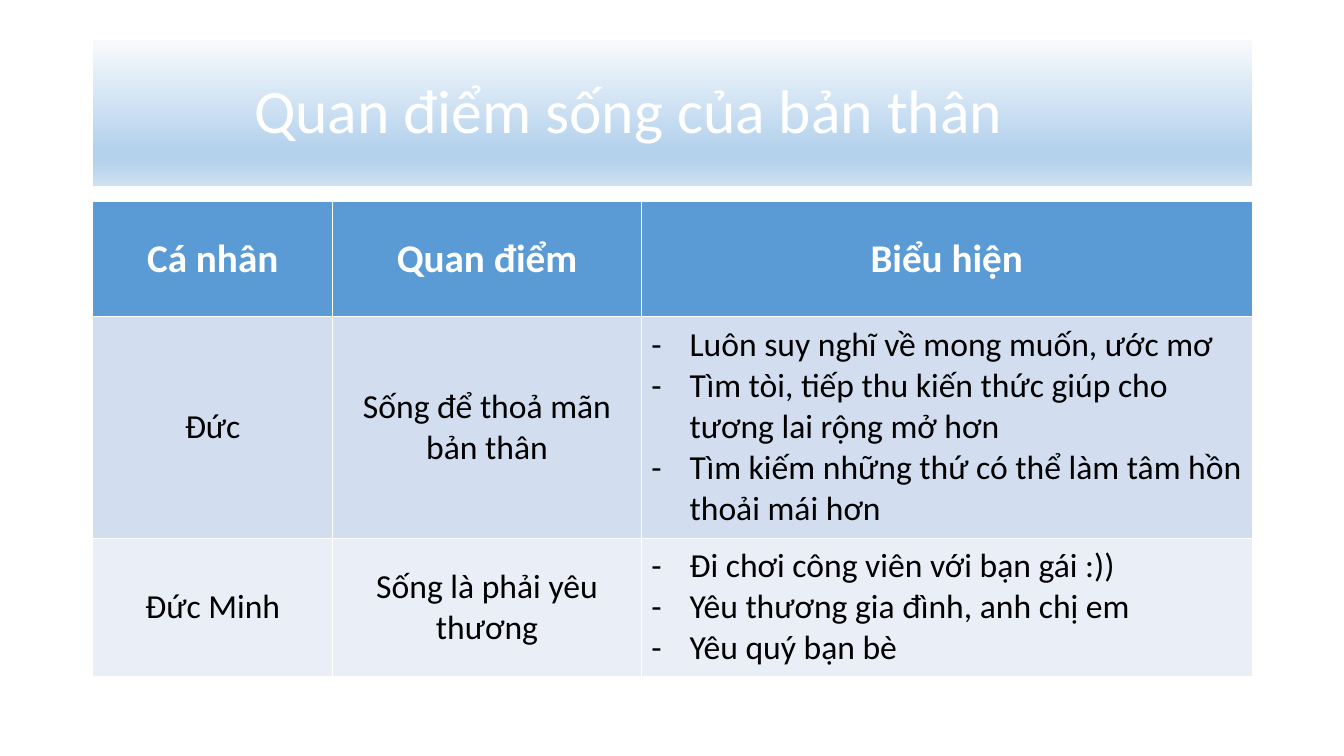
from lxml import etree
from pptx import Presentation
from pptx.dml.color import RGBColor
from pptx.enum.text import MSO_ANCHOR as Anchor, MSO_AUTO_SIZE as AutoSize, PP_ALIGN as Align
from pptx.oxml import parse_xml
from pptx.oxml.ns import nsdecls, qn
from pptx.util import Inches, Pt


def color(value):
    return RGBColor.from_string(value)


def format_para(para, size, shade, bold, align):
    para.alignment = align
    for span in para.runs:
        span.font.name = "Calibri"
        span.font.size = Pt(size)
        span.font.bold = bold
        span.font.color.rgb = color(shade)


deck = Presentation()
deck.slide_width, deck.slide_height = Inches(13.33), Inches(7.5)
page = deck.slides.add_slide(deck.slide_layouts[5])
left, width = Inches(0.92), Inches(11.5)

title = page.shapes.title
title.left, title.top, title.width, title.height = left, Inches(0.4), width, Inches(1.45)
stops = "".join(
    f'<a:gs pos="{share * 1000}"><a:srgbClr val="{shade}"/></a:gs>'
    for share, shade in [(0, "F7FAFD"), (74, "B5D2EC"), (83, "B5D2EC"), (100, "CEE1F2")]
)
title.element.spPr.append(parse_xml(
    f'<a:gradFill {nsdecls("a")} rotWithShape="1"><a:gsLst>{stops}</a:gsLst>'
    '<a:lin ang="5400000" scaled="0"/></a:gradFill>'
))
frame = title.text_frame
frame.text = "Quan điểm sống của bản thân"
frame.auto_size = AutoSize.NONE
frame.vertical_anchor = Anchor.MIDDLE
frame.margin_left = Inches(1.6)
frame.paragraphs[0].line_spacing = 0.9
format_para(frame.paragraphs[0], 44, "FFFFFF", False, Align.LEFT)

rows = [
    ["Cá nhân", "Quan điểm", "Biểu hiện"],
    ["Đức", "Sống để thoả mãn bản thân",
     "Luôn suy nghĩ về mong muốn, ước mơ\n"
     "Tìm tòi, tiếp thu kiến thức giúp cho tương lai rộng mở hơn\n"
     "Tìm kiếm những thứ có thể làm tâm hồn thoải mái hơn"],
    ["Đức Minh", "Sống là phải yêu thương",
     "Đi chơi công viên với bạn gái :))\n"
     "Yêu thương gia đình, anh chị em\n"
     "Yêu quý bạn bè"],
]
row_fills = ["5B9BD5", "D2DEEF", "EAEFF7"]
table = page.shapes.add_table(3, 3, left, Inches(2), width, Inches(4.71)).table
for column, share in zip(table.columns, [2.38, 3.06, 6.06]):
    column.width = Inches(share)
for row, height in zip(table.rows, [1.14, 2.2, 1.37]):
    row.height = Inches(height)

for r, texts in enumerate(rows):
    for c, text in enumerate(texts):
        cell = table.cell(r, c)
        cell.text = text
        cell.vertical_anchor = Anchor.MIDDLE
        cell.fill.solid()
        cell.fill.fore_color.rgb = color(row_fills[r])
        header = r == 0
        listed = c == 2 and not header
        for para in cell.text_frame.paragraphs:
            if listed:
                props = para._p.get_or_add_pPr()
                props.set("marL", str(Inches(0.38)))
                props.set("indent", str(-Inches(0.38)))
                etree.SubElement(props, qn("a:buFont"), typeface="Calibri")
                etree.SubElement(props, qn("a:buChar"), char="-")
            format_para(para, 28 if header else 24, "FFFFFF" if header else "000000",
                        header, Align.LEFT if listed else Align.CENTER)

deck.save("out.pptx")
